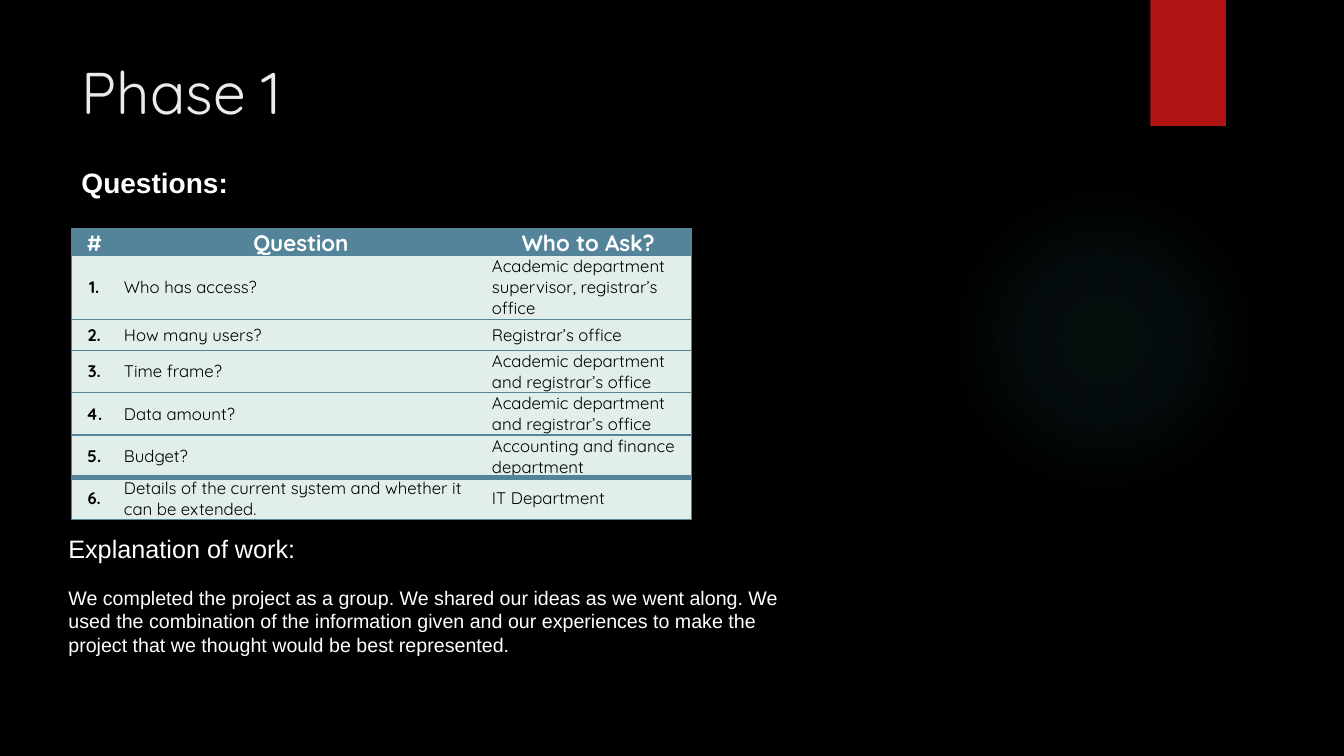
from lxml import etree
from pptx import Presentation
from pptx.dml.color import RGBColor
from pptx.enum.shapes import MSO_SHAPE
from pptx.enum.text import MSO_ANCHOR, MSO_AUTO_SIZE, PP_ALIGN
from pptx.util import Inches, Pt

RECT, OVAL = MSO_SHAPE.RECTANGLE, MSO_SHAPE.OVAL
TOP, MID = MSO_ANCHOR.TOP, MSO_ANCHOR.MIDDLE
LEFT, MIDDLE = PP_ALIGN.LEFT, PP_ALIGN.CENTER
FIXED = MSO_AUTO_SIZE.NONE
NS = "http://schemas.openxmlformats.org/drawingml/2006/main"

HEADS = ["#", "Question", "Who to Ask?"]
ASKS = [
    ("Who has access?", "Academic department supervisor, registrar’s office"),
    ("How many users?", "Registrar’s office"),
    ("Time frame?", "Academic department and registrar’s office"),
    ("Data amount?", "Academic department and registrar’s office"),
    ("Budget?", "Accounting and finance department"),
    ("Details of the current system and whether it can be extended.",
     "IT Department"),
]
WORK = ("We completed the project as a group. We shared our ideas as we went "
        "along. We used the combination of the information given and our "
        "experiences to make the project that we thought would be best "
        "represented.")


def color(code):
    return RGBColor.from_string(code)


def write(para, text, size=14, font="Arial", ink="FFFFFF", bold=False,
          align=LEFT, before=0):
    para.text = text
    para.alignment = align
    para.space_before = Pt(before)
    para.font.size = Pt(size)
    para.font.name = font
    para.font.bold = bold
    para.font.color.rgb = color(ink)


class Deck:
    font = "Quicksand"
    blue, mint = "54849A", "E1EEE9"

    def __init__(self):
        self.file = Presentation()
        self.file.slide_width = Inches(13.33)
        self.file.slide_height = Inches(7.5)
        self.slide = self.file.slides.add_slide(self.file.slide_layouts[5])
        fill = self.slide.background.fill
        fill.solid()
        fill.fore_color.rgb = color("000000")

    def shape(self, kind, box):
        item = self.slide.shapes.add_shape(kind, *map(Inches, box))
        item.shadow.inherit = False
        item.line.fill.background()
        return item

    def block(self, box, tone):
        item = self.shape(RECT, box)
        item.fill.solid()
        item.fill.fore_color.rgb = color(tone)

    def glow(self, box, tone, stops):
        item = self.shape(OVAL, box)
        marks = "".join(
            f'<a:gs pos="{at * 1000}"><a:srgbClr val="{tone}">'
            f'<a:alpha val="{alpha * 1000}"/></a:srgbClr></a:gs>'
            for at, alpha in stops)
        grad = etree.fromstring(
            f'<a:gradFill xmlns:a="{NS}"><a:gsLst>{marks}</a:gsLst>'
            '<a:path path="circle"><a:fillToRect l="50000" t="50000" '
            'r="50000" b="50000"/></a:path></a:gradFill>')
        item._element.spPr.insert(2, grad)

    def title(self, text, box):
        item = self.slide.shapes.title
        item.left, item.top, item.width, item.height = map(Inches, box)
        frame = item.text_frame
        frame.auto_size = FIXED
        frame.vertical_anchor = TOP
        write(frame.paragraphs[0], text, size=42, font=self.font, ink="EBEBEB")

    def text(self, box, *parts):
        frame = self.slide.shapes.add_textbox(*map(Inches, box)).text_frame
        frame.word_wrap = True
        for i, (words, form) in enumerate(parts):
            para = frame.add_paragraph() if i else frame.paragraphs[0]
            write(para, words, **form)

    def edge(self, cell, side, width):
        props = cell._tc.get_or_add_tcPr()
        line = etree.SubElement(props, f"{{{NS}}}ln{side}", w=str(Pt(width)))
        if width:
            fill = etree.SubElement(line, f"{{{NS}}}solidFill")
            etree.SubElement(fill, f"{{{NS}}}srgbClr", val=self.blue)
        else:
            etree.SubElement(line, f"{{{NS}}}noFill")

    def cell(self, cell, text, tone, anchor, sides, **form):
        cell.margin_left = cell.margin_right = Inches(0.07)
        cell.margin_top = cell.margin_bottom = 0
        cell.vertical_anchor = anchor
        for side, width in sides.items():
            self.edge(cell, side, width)
        cell.fill.solid()
        cell.fill.fore_color.rgb = color(tone)
        write(cell.text_frame.paragraphs[0], text, font=self.font, **form)

    def table(self, box, data, cols, rows):
        grid = self.slide.shapes.add_table(
            len(rows), len(cols), *map(Inches, box)).table
        for col, width in zip(grid.columns, cols):
            col.width = Inches(width)
        for row, height in zip(grid.rows, rows):
            row.height = Inches(height)
        last = len(rows) - 1
        for r, line in enumerate(data):
            for c, words in enumerate(line):
                sides = {"L": int(c == 0), "R": int(c == len(cols) - 1),
                         "T": 4 if r == last else 1,
                         "B": 4 if r == last - 1 else 1}
                head = r == 0
                self.cell(grid.cell(r, c), words,
                          self.blue if head else self.mint,
                          TOP if head else MID, sides,
                          size=16 if head else 12,
                          ink="FFFFFF" if head else "000000",
                          bold=head or c == 0,
                          align=MIDDLE if head or c == 0 else LEFT)


def main():
    deck = Deck()
    deck.glow((9.41, 1.83, 3.08, 3.08), "50B9C1", [(0, 7), (36, 6), (69, 0)])
    deck.block((11.41, 0, 0.75, 1.25), "B01513")
    deck.title("Phase 1", (0.71, 0.5, 10.28, 1.53))
    deck.text((0.71, 1.59, 9.78, 1.58),
              ("Questions:", {"size": 20, "bold": True}))
    data = [HEADS] + [(f"{i}.", *ask) for i, ask in enumerate(ASKS, 1)]
    deck.table((0.71, 2.27, 6.15, 2.87), data, [0.45, 3.65, 2.05],
               [0.21, 0.63, 0.31] + [0.42] * 4)
    deck.text((0.58, 5.24, 7.5, 1.33),
              ("Explanation of work:", {"size": 18}),
              (WORK, {"before": 16}))
    deck.file.save("out.pptx")


if __name__ == "__main__":
    main()
